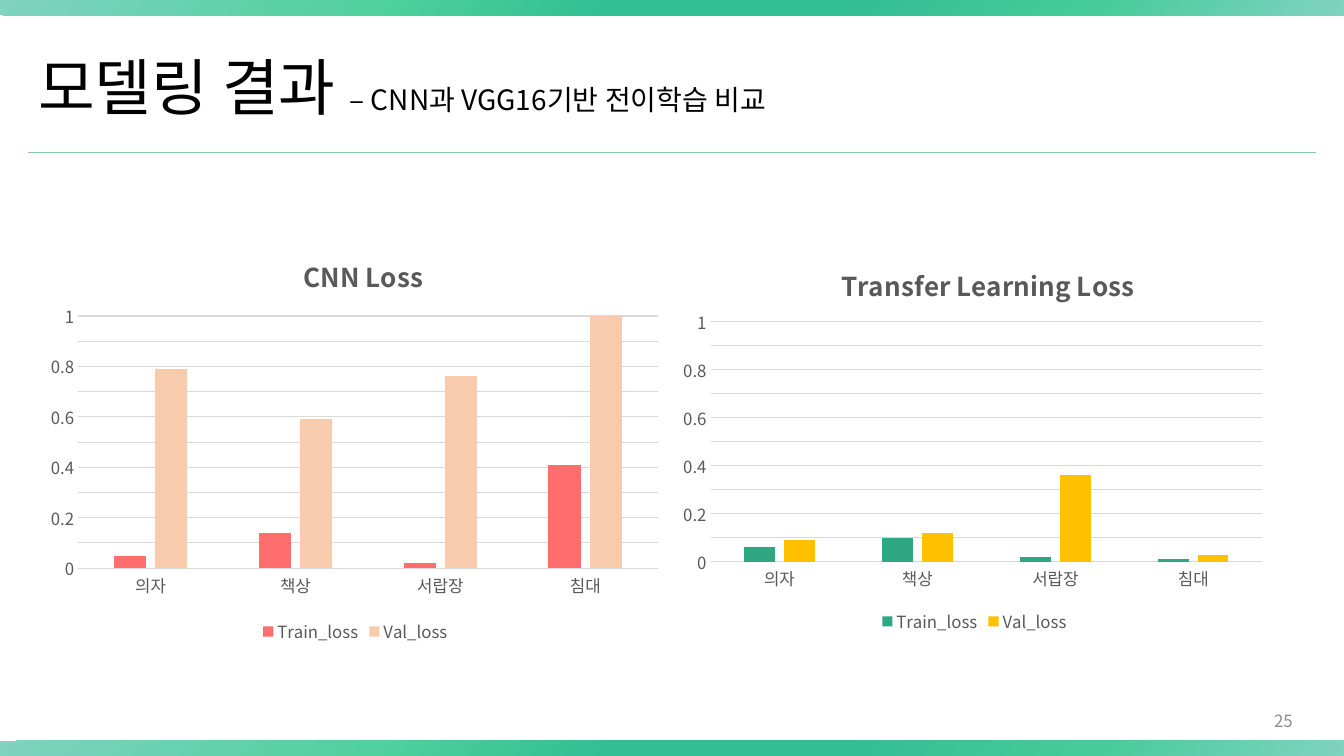
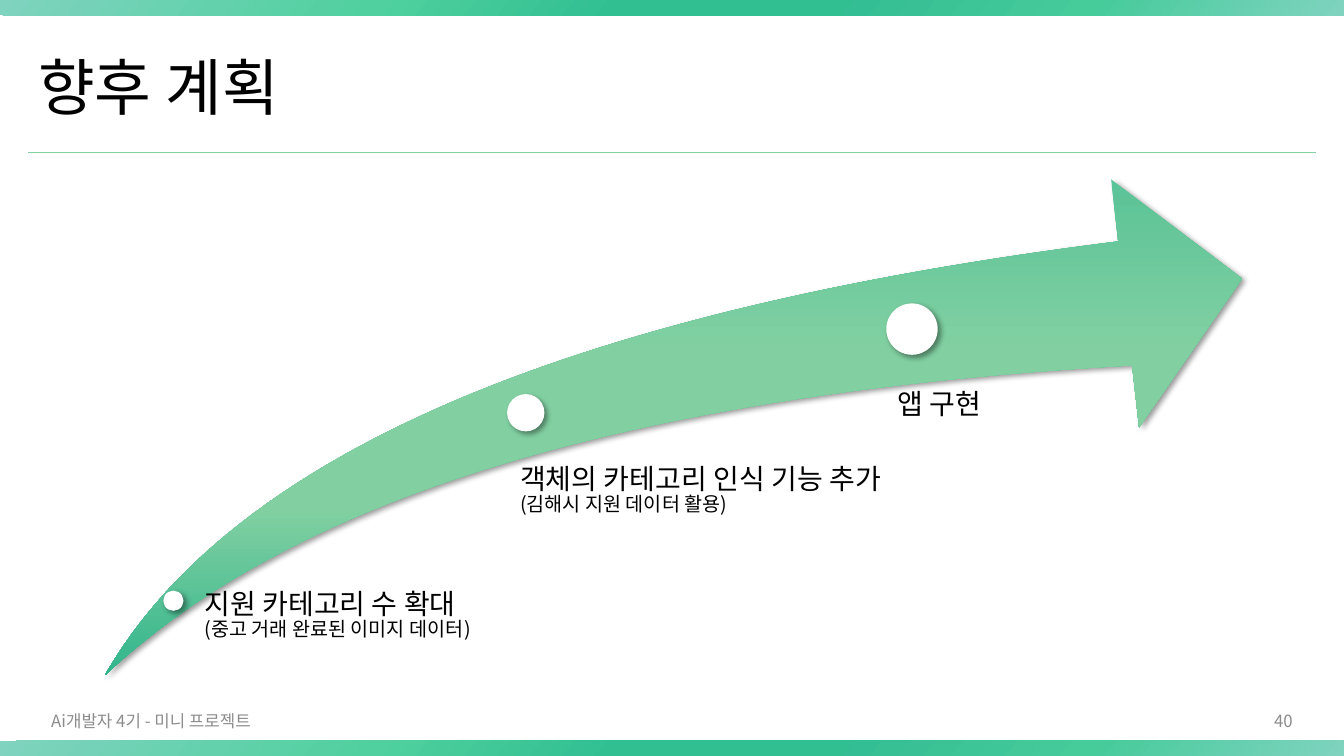
import dataclasses
import typing

import pptx
import pptx.chart.data
import pptx.dml.color
import pptx.enum.chart
import pptx.enum.shapes
import pptx.enum.text
import pptx.oxml
import pptx.oxml.ns
import pptx.util

Inches = pptx.util.Inches
Pt = pptx.util.Pt
qn = pptx.oxml.ns.qn
Shape = pptx.enum.shapes.MSO_SHAPE
Align = pptx.enum.text.PP_ALIGN
Anchor = pptx.enum.text.MSO_ANCHOR
DRAWING_NS = pptx.oxml.ns.nsdecls("a")
CHART_NS = pptx.oxml.ns.nsdecls("c")


@dataclasses.dataclass(frozen=True)
class Theme:
    font: str = "Noto Sans CJK KR"
    ink: str = "000000"
    paper: str = "FFFFFF"
    footer: str = "8C8C8C"
    rule: str = "82D0A2"
    chart_text: str = "595959"
    grid: str = "D9D9D9"
    cnn_bars: tuple = ("FF6D6D", "F8CBAD")
    transfer_bars: tuple = ("2FA782", "FFC000")
    band_stops: tuple = (
        (0, "7FD3BF"), (28, "50D09F"), (46, "31BF91"),
        (63, "34BE93"), (81, "46CB9B"), (100, "7FD3BF"),
    )
    arrow_stops: tuple = ((0, "5AC397"), (35, "82D0A2"), (66, "82D0A2"), (100, "32B58C"))
    title_size: float = 44
    heading_size: float = 20
    chart_title_size: float = 18.6
    detail_size: float = 14
    small_size: float = 12


class Box(typing.NamedTuple):
    left: float
    top: float
    width: float
    height: float

    def inside(self, dx, dy, width, height):
        return Box(self.left + dx, self.top + dy, width, height)

    def lengths(self):
        return tuple(Inches(value) for value in self)


THEME = Theme()
PAGE = Box(0, 0, 13.33, 7.5)


def rgb(value):
    return pptx.dml.color.RGBColor.from_string(value)


def style_font(font, size, color):
    font.size = Pt(size)
    font.color.rgb = rgb(color)
    font.name = THEME.font


def add_run(paragraph, text, size, color=THEME.ink):
    run = paragraph.add_run()
    run.text = text
    style_font(run.font, size, color)


def use_font_for_korean(slide):
    for shape in slide.shapes:
        element = shape.chart.element if shape.has_chart else shape.element
        for latin in list(element.iter(qn("a:latin"))):
            latin.addnext(pptx.oxml.parse_xml(f'<a:ea {DRAWING_NS} typeface="{THEME.font}"/>'))


def add_plain_shape(slide, preset, box):
    shape = slide.shapes.add_shape(preset, *box.lengths())
    shape.line.fill.background()
    shape.shadow.inherit = False
    return shape


def fill_gradient(shape, stops, clockwise_angle):
    shape.fill.gradient()
    shape.fill.gradient_angle = 360 - clockwise_angle
    stop_list = shape.element.spPr.find(qn("a:gradFill")).find(qn("a:gsLst"))
    stop_list.clear()
    for percent, color in stops:
        stop_list.append(pptx.oxml.parse_xml(
            f'<a:gs {DRAWING_NS} pos="{percent * 1000}"><a:srgbClr val="{color}"/></a:gs>'
        ))


def cast_shadow(shape):
    shape.element.spPr.find(qn("a:effectLst")).append(pptx.oxml.parse_xml(
        f'<a:outerShdw {DRAWING_NS} blurRad="{Pt(4)}" dist="{Pt(3)}" dir="2700000" '
        'algn="tl" rotWithShape="0"><a:srgbClr val="000000"><a:alpha val="40000"/>'
        "</a:srgbClr></a:outerShdw>"
    ))


def add_text_frame(slide, box):
    frame = slide.shapes.add_textbox(*box.lengths()).text_frame
    frame.word_wrap = True
    return frame


def add_footer_text(slide, box, text, alignment):
    frame = add_text_frame(slide, box)
    frame.vertical_anchor = Anchor.MIDDLE
    paragraph = frame.paragraphs[0]
    paragraph.alignment = alignment
    add_run(paragraph, text, THEME.small_size, THEME.footer)


def add_bands(slide, page, height=0.15):
    for dy in (0, page.height - height):
        band = add_plain_shape(slide, Shape.RECTANGLE, page.inside(0, dy, page.width, height))
        fill_gradient(band, THEME.band_stops, 40)


def add_title_rule(slide, box):
    rule = slide.shapes.add_connector(
        pptx.enum.shapes.MSO_CONNECTOR.STRAIGHT,
        Inches(box.left), Inches(box.top),
        Inches(box.left + box.width), Inches(box.top),
    )
    rule.line.color.rgb = rgb(THEME.rule)
    rule.line.width = Pt(0.75)
    rule.element.spPr.append(pptx.oxml.parse_xml(f"<a:effectLst {DRAWING_NS}/>"))


def place_title(slide, box, title, subtitle):
    heading = slide.shapes.title
    heading.left, heading.top, heading.width, heading.height = box.lengths()
    frame = heading.text_frame
    frame.auto_size = pptx.enum.text.MSO_AUTO_SIZE.NONE
    frame.vertical_anchor = Anchor.MIDDLE
    paragraph = frame.paragraphs[0]
    paragraph.alignment = Align.LEFT
    paragraph.line_spacing = 0.9
    add_run(paragraph, title, THEME.title_size)
    if subtitle:
        add_run(paragraph, subtitle, THEME.heading_size)


def add_content_slide(deck, page, number, title, subtitle="", footer=""):
    slide = deck.slides.add_slide(deck.slide_layouts[5])
    add_bands(slide, page)
    add_title_rule(slide, page.inside(0.28, 1.51, 12.77, 0))
    place_title(slide, page.inside(0.28, 0.46, 12.77, 0.87), title, subtitle)
    if footer:
        add_footer_text(slide, page.inside(0.41, 6.95, 3.15, 0.4), footer, Align.LEFT)
    add_footer_text(slide, page.inside(9.92, 6.95, 3, 0.4), number, Align.RIGHT)
    return slide


def set_layout(parent, modes, **fractions):
    for old in parent.findall(qn("c:layout")):
        parent.remove(old)
    parts = [f'<c:{name} val="{value}"/>' for name, value in (modes | fractions).items()]
    layout = pptx.oxml.parse_xml(
        f'<c:layout {CHART_NS}><c:manualLayout>{"".join(parts)}</c:manualLayout></c:layout>'
    )
    text = parent.find(qn("c:tx"))
    if text is None:
        parent.insert(0, layout)
    else:
        text.addnext(layout)


def add_loss_chart(slide, box, title, title_x, train_loss, val_loss, colors):
    data = pptx.chart.data.CategoryChartData()
    data.categories = ["의자", "책상", "서랍장", "침대"]
    data.add_series("Train_loss", train_loss)
    data.add_series("Val_loss", val_loss)
    chart = slide.shapes.add_chart(
        pptx.enum.chart.XL_CHART_TYPE.COLUMN_CLUSTERED, *box.lengths(), data
    ).chart
    style_font(chart.font, THEME.small_size, THEME.chart_text)

    chart.has_title = True
    add_run(
        chart.chart_title.text_frame.paragraphs[0],
        title, THEME.chart_title_size, THEME.chart_text,
    )
    chart.chart_title.include_in_layout = False
    edges = {"xMode": "edge", "yMode": "edge"}
    set_layout(chart.chart_title.element, edges, x=title_x, y=0.05)
    plot_area = chart.element.find(qn("c:chart")).find(qn("c:plotArea"))
    set_layout(plot_area, {"layoutTarget": "inner"} | edges, x=0.06, y=0.21, w=0.92, h=0.6)

    chart.has_legend = True
    chart.legend.position = pptx.enum.chart.XL_LEGEND_POSITION.BOTTOM
    chart.legend.include_in_layout = False

    for axis in (chart.category_axis, chart.value_axis):
        axis.major_tick_mark = pptx.enum.chart.XL_TICK_MARK.NONE
    chart.category_axis.format.line.color.rgb = rgb(THEME.grid)
    chart.category_axis.format.line.width = Pt(0.75)
    losses = chart.value_axis
    losses.minimum_scale, losses.maximum_scale, losses.major_unit = 0, 1, 0.1
    losses.format.line.fill.background()
    losses.major_gridlines.format.line.color.rgb = rgb(THEME.grid)
    losses.major_gridlines.format.line.width = Pt(0.75)

    plot = chart.plots[0]
    plot.gap_width, plot.overlap = 219, -27
    plot.vary_by_categories = False
    for series, color in zip(plot.series, colors):
        series.format.fill.solid()
        series.format.fill.fore_color.rgb = rgb(color)


def add_milestone(slide, dot_box, label_box, inset, lines, line_spacing):
    dot = add_plain_shape(slide, Shape.OVAL, dot_box)
    dot.fill.solid()
    dot.fill.fore_color.rgb = rgb(THEME.paper)
    cast_shadow(dot)

    frame = add_text_frame(slide, label_box)
    frame.margin_left = Inches(inset)
    frame.margin_top = frame.margin_right = frame.margin_bottom = 0
    for index, (text, size) in enumerate(zip(lines, (THEME.heading_size, THEME.detail_size))):
        paragraph = frame.add_paragraph() if index else frame.paragraphs[0]
        paragraph.line_spacing = line_spacing
        paragraph.space_after = Pt(round(size * 0.35, 1))
        add_run(paragraph, text, size)


def add_roadmap(slide, box):
    arrow = add_plain_shape(slide, Shape.SWOOSH_ARROW, box)
    arrow.adjustments[0] = arrow.adjustments[1] = 0.25
    fill_gradient(arrow, THEME.arrow_stops, 90)
    cast_shadow(arrow)

    milestones = (
        ((0.58, 4.08, 0.2, 0.2), (0.88, 4.18, 5.34, 0.73), 0.11,
         ("지원 카테고리 수 확대", "(중고 거래 완료된 이미지 데이터)"), 0.5),
        ((3.99, 2.13, 0.37, 0.37), (3.92, 2.94, 6.14, 1.18), 0.2,
         ("객체의 카테고리 인식 기능 추가", "(김해시 지원 데이터 활용)"), 0.5),
        ((7.75, 1.23, 0.51, 0.51), (7.59, 2.09, 2.94, 0.88), 0.27, ("앱 구현",), 0.9),
    )
    for dot, label, inset, lines, line_spacing in milestones:
        add_milestone(slide, box.inside(*dot), box.inside(*label), inset, lines, line_spacing)


def build_results_slide(deck, page):
    slide = add_content_slide(
        deck, page, "25", "모델링 결과 ", subtitle="– CNN과 VGG16기반 전이학습 비교"
    )
    add_loss_chart(
        slide, page.inside(0.4, 2.26, 6.25, 4.17), "CNN Loss", 0.41,
        (0.05, 0.14, 0.02, 0.41), (0.79, 0.59, 0.76, 1.07), THEME.cnn_bars,
    )
    add_loss_chart(
        slide, page.inside(6.69, 2.36, 5.95, 3.97), "Transfer Learning Loss", 0.27,
        (0.06, 0.1, 0.02, 0.01), (0.09, 0.12, 0.36, 0.03), THEME.transfer_bars,
    )
    use_font_for_korean(slide)


def build_plan_slide(deck, page):
    slide = add_content_slide(
        deck, page, "40", "향후 계획", footer="Ai개발자 4기 - 미니 프로젝트"
    )
    add_roadmap(slide, page.inside(1.04, 1.78, 11.28, 4.92))
    use_font_for_korean(slide)


def main():
    deck = pptx.Presentation()
    deck.slide_width, deck.slide_height = Inches(PAGE.width), Inches(PAGE.height)
    build_results_slide(deck, PAGE)
    build_plan_slide(deck, PAGE)
    deck.save("out.pptx")


if __name__ == "__main__":
    main()
